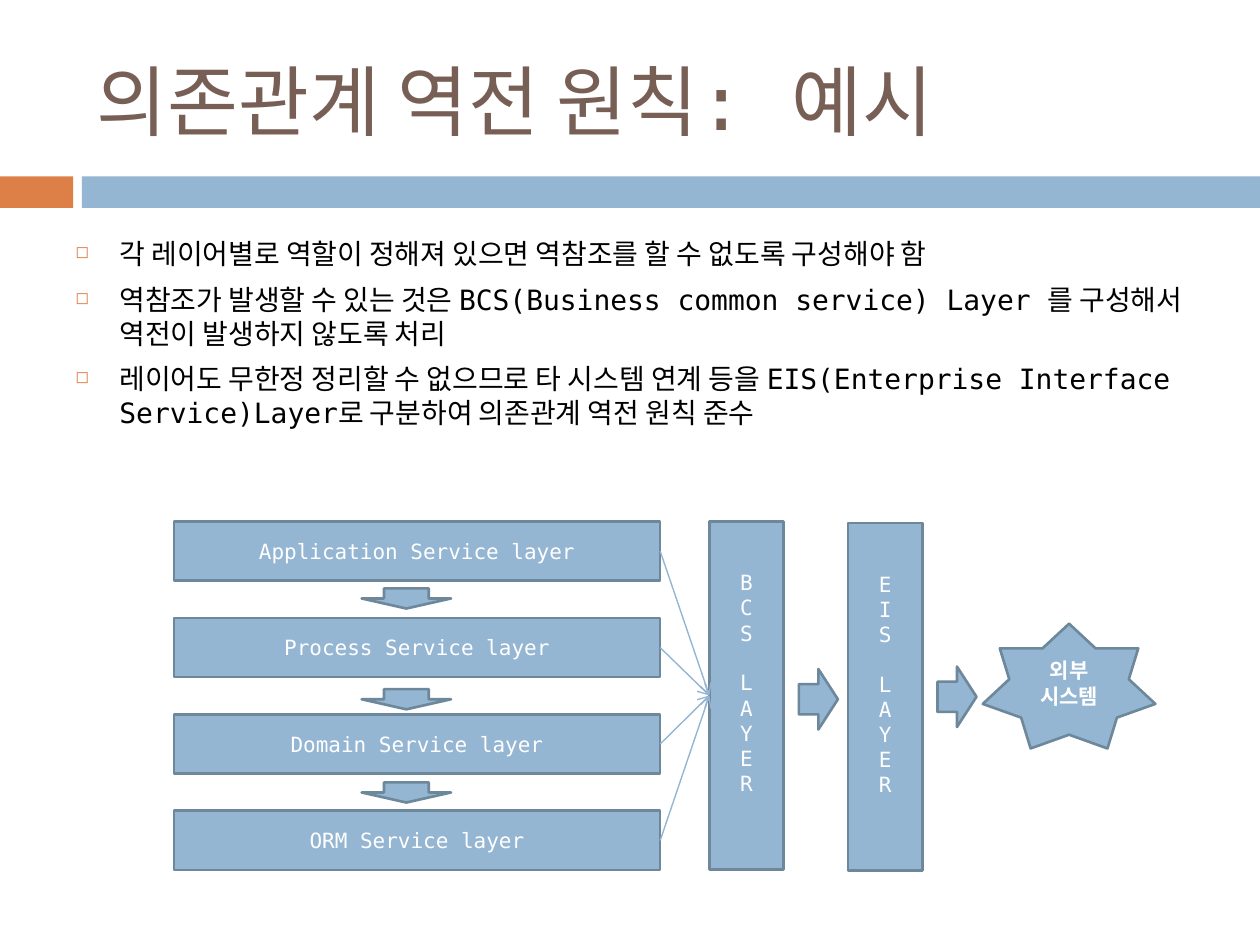
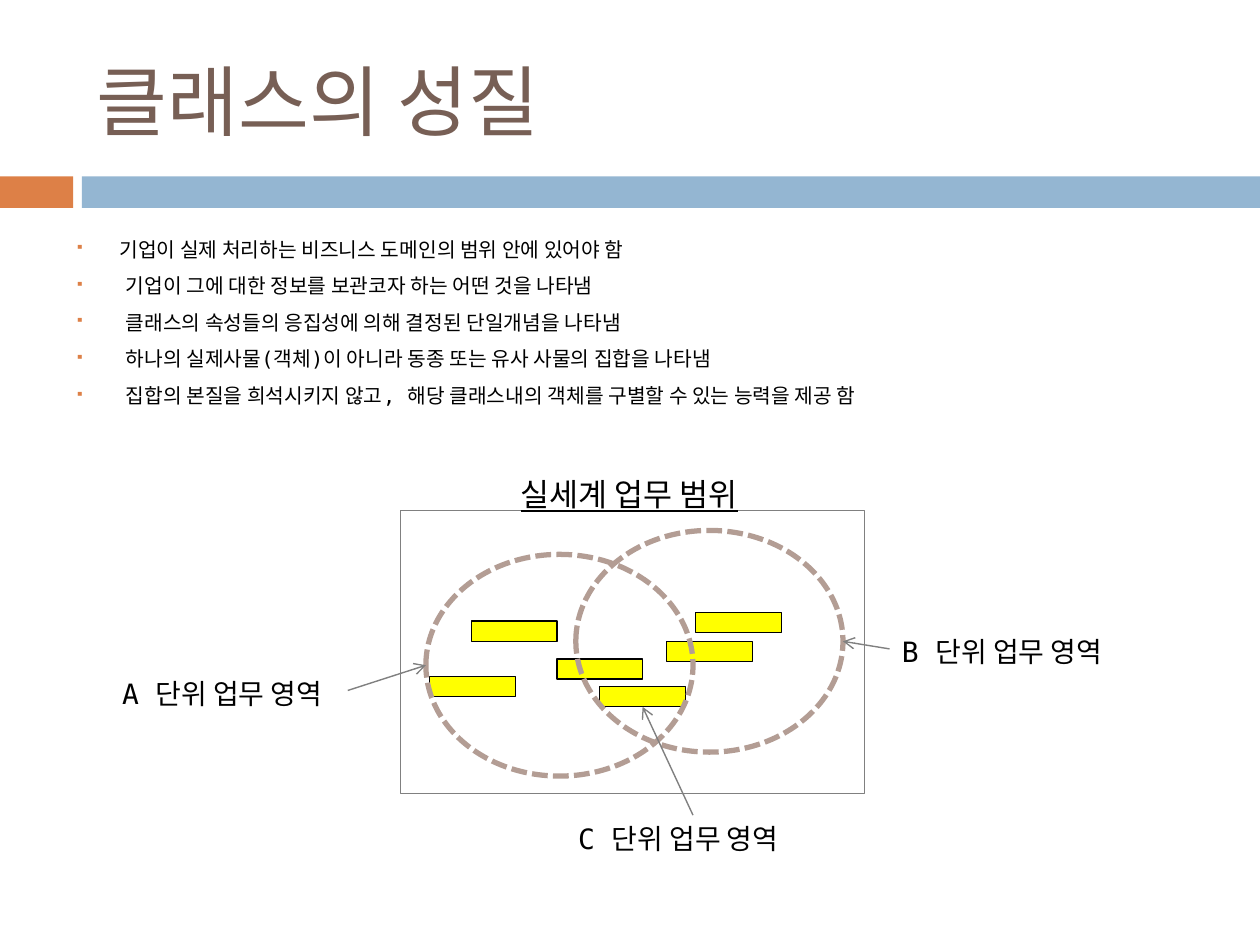
from lxml.etree import SubElement
from pptx import Presentation
from pptx.dml.color import RGBColor
from pptx.enum.dml import MSO_LINE
from pptx.enum.shapes import MSO_CONNECTOR, MSO_SHAPE
from pptx.enum.text import MSO_ANCHOR, PP_ALIGN
from pptx.oxml.ns import qn
from pptx.util import Inches, Pt

FONT = "DejaVu Sans Mono"
ORANGE, BLUE, DARK_BLUE = "DD8047", "94B6D2", "6D879B"
BROWN, TAUPE, GRAY = "775F55", "B39D94", "808080"
BLACK, WHITE, YELLOW = "000000", "FFFFFF", "FFFF00"

TITLE_STYLE = {"size": Pt(44), "color": BROWN}
LABEL_STYLE = {"size": Pt(16), "color": BLACK}
HEADING_STYLE = {"size": Pt(18), "color": BLACK, "underline": True}
BLOCK_STYLE = {"size": Pt(12), "color": WHITE}


def color(value):
    return RGBColor.from_string(value)


def apply(target, formats):
    for name, value in formats.items():
        setattr(target, name, value)


def write_paragraph(para, text, style, align=PP_ALIGN.LEFT):
    para.alignment = align
    span = para.add_run()
    span.text = text
    span.font.name = FONT
    span.font.color.rgb = color(style["color"])
    apply(span.font, {name: value for name, value in style.items() if name != "color"})


def write_lines(frame, lines, style, align=PP_ALIGN.LEFT):
    for index, line in enumerate(lines):
        para = frame.add_paragraph() if index else frame.paragraphs[0]
        write_paragraph(para, line, style, align)


def add_figure(page, kind, left, top, width, height, fill=None, line=None, weight=0.75, dash=None):
    figure = page.shapes.add_shape(kind, Inches(left), Inches(top), Inches(width), Inches(height))
    figure.shadow.inherit = False
    if fill:
        figure.fill.solid()
        figure.fill.fore_color.rgb = color(fill)
    else:
        figure.fill.background()
    if line:
        figure.line.color.rgb = color(line)
        apply(figure.line, {"width": Pt(weight), "dash_style": dash})
    else:
        figure.line.fill.background()
    return figure


def add_block(page, kind, left, top, width, height, lines=(), style=BLOCK_STYLE):
    block = add_figure(page, kind, left, top, width, height, BLUE, DARK_BLUE, 1.5)
    block.text_frame.vertical_anchor = MSO_ANCHOR.MIDDLE
    write_lines(block.text_frame, lines, style, PP_ALIGN.CENTER)
    return block


def add_text(page, left, top, width, height, lines, style, align=PP_ALIGN.LEFT, **frame_formats):
    box = page.shapes.add_textbox(Inches(left), Inches(top), Inches(width), Inches(height))
    apply(box.text_frame, {"word_wrap": True, **frame_formats})
    write_lines(box.text_frame, lines, style, align)
    return box


def add_arrow(page, line_color, source, target=None, end=(0, 0)):
    points = [Inches(value) for value in (0, 0, *end)]
    arrow = page.shapes.add_connector(MSO_CONNECTOR.STRAIGHT, *points)
    arrow.begin_connect(*source)
    if target:
        arrow.end_connect(*target)
    arrow.line.color.rgb = color(line_color)
    arrow.line.width = Pt(0.79)
    SubElement(arrow.line._get_or_add_ln(), qn("a:tailEnd"), type="arrow")
    SubElement(arrow._element.spPr, qn("a:effectLst"))


def add_page(deck, title):
    page = deck.slides.add_slide(deck.slide_layouts[6])
    for left, width, fill in ((0, 0.58, ORANGE), (0.65, 9.35, BLUE)):
        add_figure(page, MSO_SHAPE.RECTANGLE, left, 1.4, width, 0.25, fill)
    add_text(page, 0.67, 0.25, 8.92, 1.08, [title], TITLE_STYLE, vertical_anchor=MSO_ANCHOR.MIDDLE)
    return page


def add_bullets(page, height, lines, size, mark, later_indent=0.35):
    box = add_text(page, 0.5, 1.83, 9, height, lines, {"size": Pt(size), "color": BLACK})
    for index, para in enumerate(box.text_frame.paragraphs):
        indent = Inches(later_indent if index else 0.35)
        if index:
            para.space_before = Pt(7)
        properties = para._p.get_or_add_pPr()
        properties.set("marL", str(indent))
        properties.set("indent", str(-indent))
        bullet_color = SubElement(properties, qn("a:buClr"))
        SubElement(bullet_color, qn("a:srgbClr"), val=ORANGE)
        SubElement(properties, qn("a:buSzPct"), val="60000")
        SubElement(properties, qn("a:buChar"), char=mark)


def add_tower(page, left, top, name):
    tower = add_block(page, MSO_SHAPE.RECTANGLE, left, top, 0.59, 2.76, name + "LAYER")
    tower.text_frame.margin_bottom = Inches(0.25)
    tower.text_frame.paragraphs[len(name)].space_before = Pt(14)
    return tower


def add_layer_diagram(page, left, top):
    names = ("Application", "Process", "Domain", "ORM")
    layers = [
        add_block(page, MSO_SHAPE.RECTANGLE, left, top + 0.765 * row, 3.86, 0.47, [f"{name} Service layer"])
        for row, name in enumerate(names)
    ]
    for offset in (0.53, 1.33, 2.07):
        add_block(page, MSO_SHAPE.DOWN_ARROW, left + 1.49, top + offset, 0.71, 0.16)
    common_tower = add_tower(page, left + 4.25, top, "BCS")
    for layer in layers:
        add_arrow(page, BLUE, (layer, 3), (common_tower, 1))
    add_tower(page, left + 5.35, top + 0.01, "EIS")
    for across, down in ((4.96, 1.17), (6.06, 1.15)):
        add_block(page, MSO_SHAPE.RIGHT_ARROW, left + across, top + down, 0.31, 0.48)
    add_block(page, MSO_SHAPE.STAR_7_POINT, left + 6.42, top + 0.81, 1.37, 0.99,
              ["외부", "시스템"], {**BLOCK_STYLE, "bold": True})


def add_domain_diagram(page, left, top):
    places = ((2.34, 0.81), (2.11, 1.04), (1.24, 1.18), (0.56, 0.88), (0.23, 1.32), (1.58, 1.4))
    classes = [
        add_figure(page, MSO_SHAPE.RECTANGLE, left + across, top + down, 0.68, 0.16, YELLOW, BLACK)
        for across, down in places
    ]
    for across, down in ((0.2, 0.35), (1.39, 0.16)):
        add_figure(page, MSO_SHAPE.OVAL, left + across, top + down, 2.12, 1.76,
                   line=TAUPE, weight=3, dash=MSO_LINE.SQUARE_DOT)
    label_places = {"A": (-2.31, 1.27, 1.89), "B": (3.88, 0.94, 1.95), "C": (1.31, 2.42, 2.02)}
    labels = {
        name: add_text(page, left + across, top + down, width, 0.32,
                       [f"{name} 단위 업무 영역"], LABEL_STYLE, margin_right=0)
        for name, (across, down, width) in label_places.items()
    }
    add_arrow(page, GRAY, (labels["C"], 0), (classes[-1], 2))
    add_arrow(page, GRAY, (labels["A"], 3), end=(left + 0.2, top + 1.23))
    add_arrow(page, GRAY, (labels["B"], 1), end=(left + 3.51, top + 1.04))
    add_figure(page, MSO_SHAPE.RECTANGLE, left, top, 3.68, 2.25, line=GRAY)
    add_text(page, left + 0.43, top - 0.33, 2.77, 0.29, ["실세계 업무 범위"], HEADING_STYLE, PP_ALIGN.CENTER)


def build_inversion_page(deck):
    page = add_page(deck, "의존관계 역전 원칙: 예시")
    add_bullets(page, 1.76, [
        "각 레이어별로 역할이 정해져 있으면 역참조를 할 수 없도록 구성해야 함",
        "역참조가 발생할 수 있는 것은 BCS(Business common service) Layer 를 구성해서 역전이 발생하지 않도록 처리",
        "레이어도 무한정 정리할 수 없으므로 타 시스템 연계 등을 EIS(Enterprise Interface Service)Layer로 "
        "구분하여 의존관계 역전 원칙 준수",
    ], 16, "◻")
    add_layer_diagram(page, 1.38, 4.14)


def build_class_page(deck):
    page = add_page(deck, "클래스의 성질")
    add_bullets(page, 1.53, [
        "기업이 실제 처리하는 비즈니스 도메인의 범위 안에 있어야 함",
        "기업이 그에 대한 정보를 보관코자 하는 어떤 것을 나타냄",
        "클래스의 속성들의 응집성에 의해 결정된 단일개념을 나타냄",
        "하나의 실제사물(객체)이 아니라 동종 또는 유사 사물의 집합을 나타냄",
        "집합의 본질을 희석시키지 않고, 해당 클래스내의 객체를 구별할 수 있는 능력을 제공 함",
    ], 11.6, "▪", later_indent=0.4)
    add_domain_diagram(page, 3.18, 4.05)


def main():
    deck = Presentation()
    apply(deck, {"slide_width": Inches(10), "slide_height": Inches(7.5)})
    build_inversion_page(deck)
    build_class_page(deck)
    deck.save("out.pptx")


if __name__ == "__main__":
    main()
